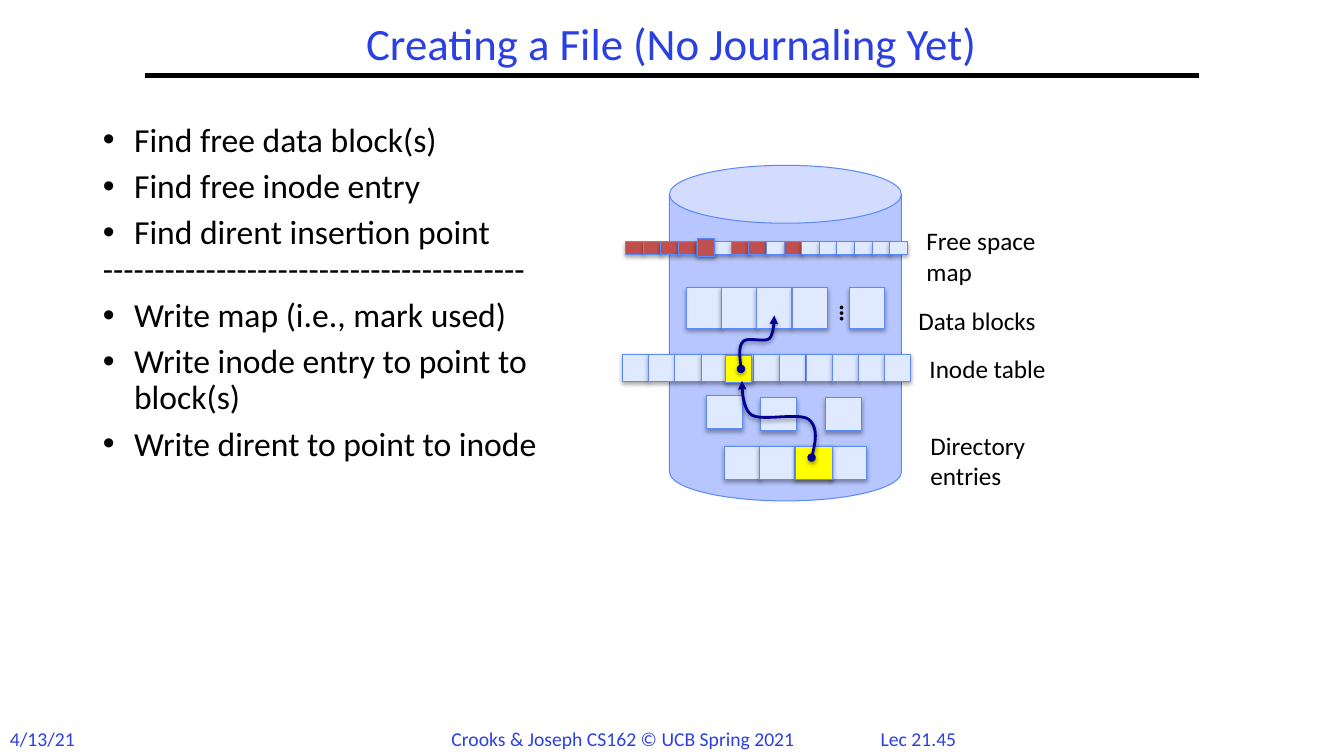
from dataclasses import dataclass

from lxml import etree
from pptx import Presentation
from pptx.dml.color import RGBColor
from pptx.enum import shapes, text
from pptx.oxml import ns
from pptx.util import Inches, Pt


@dataclass(frozen=True)
class Theme:
    font: str = "Calibri"
    blue: str = "2A40E2"
    black: str = "000000"
    disk: str = "B7C6FE"
    cell: str = "DFE9FF"
    edge: str = "5B8AFB"
    used: str = "C0504D"
    active: str = "FFFF00"
    arrow: str = "000090"
    title_size: float = 32
    body_size: float = 24
    label_size: float = 18
    footer_size: float = 14


THEME = Theme()
TITLE = "Creating a File (No Journaling Yet)"
SEPARATOR = "-----------------------------------------"
STEPS = [
    "Find free data block(s)",
    "Find free inode entry",
    "Find dirent insertion point",
    SEPARATOR,
    "Write map (i.e., mark used)",
    "Write inode entry to point to block(s)",
    "Write dirent to point to inode",
]
FOOTERS = [
    ("Lec 21.45", (8.5, 7.16, 1.22, 0.33), text.PP_ALIGN.CENTER),
    ("4/13/21", (0, 7.16, 1, 0.34), text.PP_ALIGN.LEFT),
    ("Crooks & Joseph CS162 © UCB Spring 2021", (4.38, 7.16, 3.76, 0.34), text.PP_ALIGN.LEFT),
]
LABELS = [
    (["Data blocks"], (9.01, 2.98, 1.52, 0.4), False),
    (["Free space map"], (9.09, 2.19, 1.41, 1.01), True),
    (["Inode table"], (9.12, 3.46, 1.45, 0.4), False),
    (["Directory", "entries"], (9.13, 4.22, 1.21, 0.71), False),
]

MAP_CELL = (0.13, 0.18)
DATA_CELL = (0.4, 0.35)
INODE_CELL = (0.27, 0.26)
ENTRY_CELL = (0.33, 0.36)
USED_MAP_CELLS = {0, 1, 2, 3, 6, 7, 9}
CELL_ROWS = [
    (6.78, 2.88, 0.35, 4, DATA_CELL),
    (8.4, 2.88, 0, 1, DATA_CELL),
    (6.17, 3.52, 0.26, 11, INODE_CELL),
    (7.2, 4.41, 0.35, 4, ENTRY_CELL),
    (7.02, 3.91, 0, 1, ENTRY_CELL),
    (7.56, 3.93, 0.64, 2, ENTRY_CELL),
]
HIGHLIGHTS = [
    (7.19, 3.53, INODE_CELL, THEME.active),
    (7.91, 4.41, ENTRY_CELL, THEME.active),
    (6.92, 2.37, (0.17, 0.17), THEME.used),
]
POINTERS = [
    [(7.35, 3.66), (7.34, 3.55), (7.32, 3.44), (7.37, 3.39), (7.41, 3.34),
     (7.58, 3.4), (7.63, 3.36), (7.68, 3.32), (7.68, 3.13), (7.68, 3.13)],
    [(8.05, 4.54), (8.09, 4.39), (8.12, 4.24), (8.02, 4.16), (7.92, 4.09),
     (7.57, 4.18), (7.46, 4.12), (7.35, 4.06), (7.36, 3.78), (7.36, 3.78)],
]
CURVE_STEPS = 12


def color(value):
    return RGBColor.from_string(value)


def inches(values):
    return [Inches(value) for value in values]


def write(para, words, size, ink=THEME.black, bold=False):
    span = para.add_run()
    span.text = words
    span.font.name = THEME.font
    span.font.size = Pt(size)
    span.font.bold = bold
    span.font.color.rgb = color(ink)


def add_text(page, lines, area, size, ink=THEME.black, wrap=True,
             align=text.PP_ALIGN.LEFT, bold=False):
    box = page.shapes.add_textbox(*inches(area))
    frame = box.text_frame
    frame.word_wrap = wrap
    for index, line in enumerate(lines):
        para = frame.add_paragraph() if index else frame.paragraphs[0]
        para.alignment = align
        write(para, line, size, ink, bold)
    return box


def place(box, area):
    box.left, box.top, box.width, box.height = inches(area)


def add_shadow(shape, opacity):
    shape.shadow.inherit = False
    effects = shape._element.spPr.find(ns.qn("a:effectLst"))
    shadow = etree.SubElement(effects, ns.qn("a:outerShdw"), blurRad="40000",
                              dist="23000", dir="5400000", rotWithShape="0")
    ink = etree.SubElement(shadow, ns.qn("a:srgbClr"), val=THEME.black)
    etree.SubElement(ink, ns.qn("a:alpha"), val=str(opacity * 1000))


def add_filled(page, kind, area, fill):
    shape = page.shapes.add_shape(kind, *inches(area))
    shape.fill.solid()
    shape.fill.fore_color.rgb = color(fill)
    shape.line.color.rgb = color(THEME.edge)
    shape.line.width = Pt(0.75)
    shape.shadow.inherit = False
    return shape


def add_cell(page, left, top, size, fill=THEME.cell):
    cell = add_filled(page, shapes.MSO_SHAPE.RECTANGLE, (left, top, *size), fill)
    cell.rotation = 270
    add_shadow(cell, 35)


def curve_points(controls):
    for start in range(0, len(controls) - 1, 3):
        a, b, c, d = controls[start:start + 4]
        for step in range(1, CURVE_STEPS + 1):
            t = step / CURVE_STEPS
            weights = ((1 - t) ** 3, 3 * t * (1 - t) ** 2, 3 * t * t * (1 - t), t ** 3)
            yield tuple(
                Inches(sum(w * point[axis] for w, point in zip(weights, (a, b, c, d))))
                for axis in (0, 1)
            )


def add_pointer(page, controls):
    builder = page.shapes.build_freeform(*inches(controls[0]), scale=1.0)
    builder.add_line_segments(list(curve_points(controls)), close=False)
    pointer = builder.convert_to_shape()
    pointer.fill.background()
    pointer.line.color.rgb = color(THEME.arrow)
    pointer.line.width = Pt(2)
    line = pointer.line._get_or_add_ln()
    etree.SubElement(line, ns.qn("a:headEnd"), type="oval")
    etree.SubElement(line, ns.qn("a:tailEnd"), type="triangle")
    add_shadow(pointer, 38)


def fill_title(page):
    title = page.shapes.title
    place(title, (1.44, 0.17, 10.44, 0.58))
    title.text_frame.auto_size = text.MSO_AUTO_SIZE.NONE
    title.text_frame.vertical_anchor = text.MSO_ANCHOR.MIDDLE
    para = title.text_frame.paragraphs[0]
    para.alignment = text.PP_ALIGN.CENTER
    para.line_spacing = 0.9
    write(para, TITLE, THEME.title_size, THEME.blue)
    rule = page.shapes.add_connector(
        shapes.MSO_CONNECTOR.STRAIGHT, *inches((1.44, 0.75, 11.89, 0.75)))
    rule.line.color.rgb = color(THEME.black)
    rule.line.width = Pt(3)
    etree.SubElement(rule._element.spPr, ns.qn("a:effectLst"))


def fill_steps(page):
    body = page.placeholders[1]
    place(body, (0.92, 1.17, 5.08, 3.94))
    frame = body.text_frame
    frame.auto_size = text.MSO_AUTO_SIZE.NONE
    for index, step in enumerate(STEPS):
        para = frame.add_paragraph() if index else frame.paragraphs[0]
        bulleted = step != SEPARATOR
        para.line_spacing = 0.9
        para.space_before = Pt(7.2 if bulleted else 0)
        indent = Inches(0.31 if bulleted else 0)
        properties = para._p.get_or_add_pPr()
        properties.set("marL", str(indent))
        properties.set("indent", str(-indent))
        if bulleted:
            etree.SubElement(properties, ns.qn("a:buChar"), char="•")
        else:
            etree.SubElement(properties, ns.qn("a:buNone"))
        write(para, step, THEME.body_size)


def draw_disk(page):
    add_filled(page, shapes.MSO_SHAPE.CAN, (6.64, 1.64, 2.3, 3.33), THEME.disk)
    for index in range(16):
        fill = THEME.used if index in USED_MAP_CELLS else THEME.cell
        add_cell(page, 6.23 + index * 2.62 / 15, 2.37, MAP_CELL, fill)
    for left, top, step, count, size in CELL_ROWS:
        for index in range(count):
            add_cell(page, left + index * step, top, size)
    for highlight in HIGHLIGHTS:
        add_cell(page, *highlight)
    dots = add_text(page, ["…"], (8.04, 2.87, 0.45, 0.4), THEME.label_size, wrap=False, bold=True)
    dots.rotation = 270
    for controls in POINTERS:
        add_pointer(page, controls)
    for lines, area, wrap in LABELS:
        add_text(page, lines, area, THEME.label_size, wrap=wrap)


def main():
    deck = Presentation()
    deck.slide_width, deck.slide_height = inches((13.33, 7.5))
    page = deck.slides.add_slide(deck.slide_layouts[1])
    fill_title(page)
    fill_steps(page)
    draw_disk(page)
    for words, area, align in FOOTERS:
        add_text(page, [words], area, THEME.footer_size, THEME.blue, align=align)
    deck.save("out.pptx")


if __name__ == "__main__":
    main()
